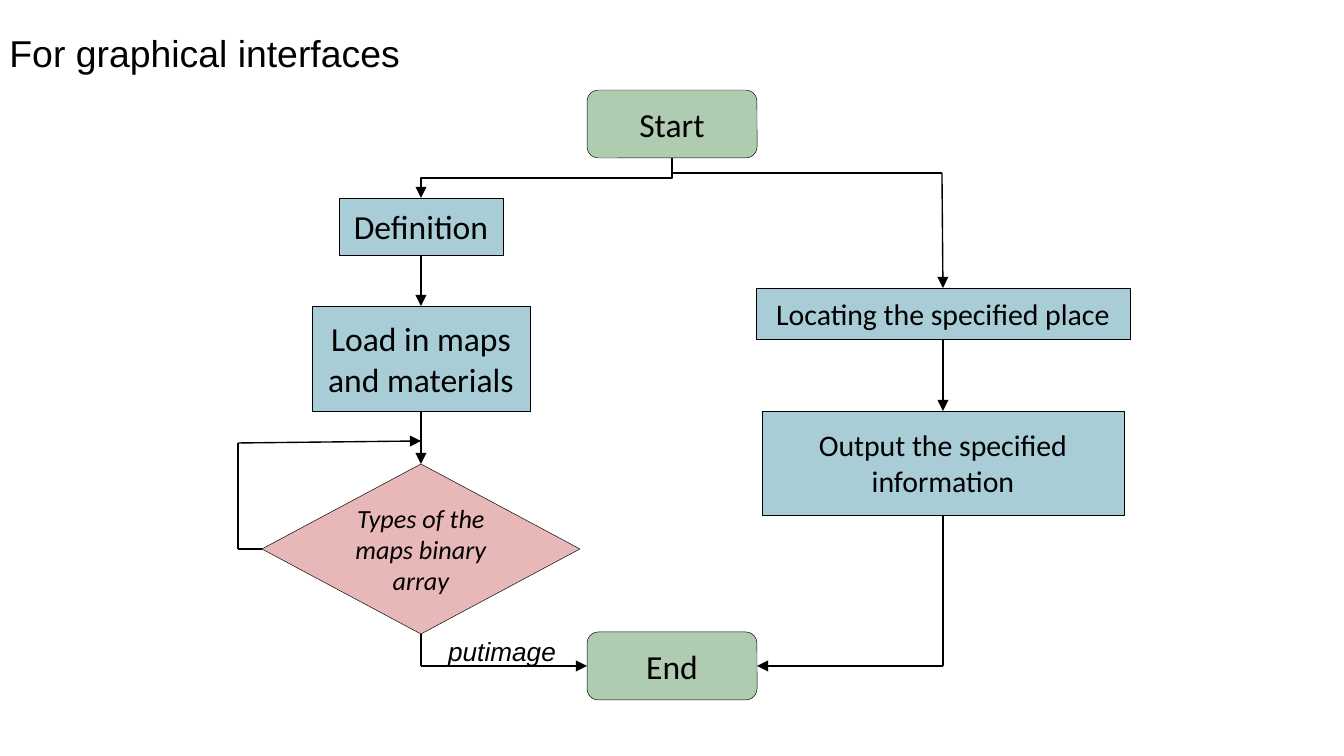
from dataclasses import dataclass
from typing import Optional

from pptx import Presentation
from pptx.dml.color import RGBColor
from pptx.enum.shapes import MSO_CONNECTOR, MSO_SHAPE
from pptx.enum.text import MSO_ANCHOR, MSO_AUTO_SIZE, PP_ALIGN
from pptx.oxml.ns import qn
from pptx.util import Pt
from lxml import etree

PX = 9144000 / 1344  # EMU per px
COLORS = {"terminal": "B0CCB0", "process": "A8CDD7", "decision": "E8B7B7", "ink": "000000"}
KINDS = {
    "terminal": MSO_SHAPE.FLOWCHART_ALTERNATE_PROCESS,
    "process": MSO_SHAPE.FLOWCHART_PROCESS,
    "decision": MSO_SHAPE.FLOWCHART_DECISION,
}
STRAIGHT, ELBOW = MSO_CONNECTOR.STRAIGHT, MSO_CONNECTOR.ELBOW
CENTER, LEFT = PP_ALIGN.CENTER, PP_ALIGN.LEFT
MIDDLE, TOP = MSO_ANCHOR.MIDDLE, MSO_ANCHOR.TOP
TOP_SIDE, LEFT_SIDE, BOTTOM_SIDE, RIGHT_SIDE = range(4)


@dataclass
class Node:
    kind: str
    text: str
    x: int
    y: int
    w: int
    h: int
    size: int = 18

    def side(self, i: int) -> tuple[int, int]:
        cx, cy = self.x + self.w // 2, self.y + self.h // 2
        return [(cx, self.y), (self.x, cy), (cx, self.y + self.h), (self.x + self.w, cy)][i]


@dataclass
class End:
    """A line end: a side of a node, or a free point."""
    node: str = ""
    side: int = 0
    point: tuple[int, int] = (0, 0)

    def xy(self) -> tuple[int, int]:
        return NODES[self.node].side(self.side) if self.node else self.point


@dataclass
class Link:
    start: End
    end: End
    arrow: bool = True


NODES = {
    "start": Node("terminal", "Start", 587, 90, 170, 68),
    "load": Node("process", "Load in maps and materials", 312, 306, 218, 105),
    "types": Node("decision", "Types of the maps binary array", 262, 464, 318, 170, 14),
    "end": Node("terminal", "End", 587, 632, 170, 68),
    "definition": Node("process", "Definition", 339, 198, 164, 57),
    "locate": Node("process", "Locating the specified place", 756, 288, 374, 51, 16),
    "output": Node("process", "Output the specified information", 762, 411, 362, 104, 16),
}


def at(x: int, y: int) -> End:
    return End(point=(x, y))


LINKS = [
    # Left branch
    Link(End("definition", BOTTOM_SIDE), End("load", TOP_SIDE)),
    Link(End("load", BOTTOM_SIDE), End("types", TOP_SIDE)),
    Link(End("types", BOTTOM_SIDE), at(421, 666), False),
    Link(at(421, 666), End("end", LEFT_SIDE)),
    # Right branch
    Link(at(672, 173), at(942, 173), False),
    Link(at(942, 173), End("locate", TOP_SIDE)),
    Link(End("locate", BOTTOM_SIDE), End("output", TOP_SIDE)),
    Link(End("output", BOTTOM_SIDE), at(943, 666), False),
    Link(at(943, 666), End("end", RIGHT_SIDE)),
    # Loop back
    Link(End("types", LEFT_SIDE), at(238, 549), False),
    Link(at(238, 549), at(238, 443), False),
    Link(at(238, 443), at(421, 441)),
]


def emu(*px: float) -> list[int]:
    return [round(v * PX) for v in px]


def rgb(name: str) -> RGBColor:
    return RGBColor.from_string(COLORS[name])


def write(sp, text: str, size: int, font: str, align, anchor, italic: bool = False) -> None:
    tf = sp.text_frame
    tf.word_wrap = True
    tf.auto_size = MSO_AUTO_SIZE.NONE
    tf.vertical_anchor = anchor
    p = tf.paragraphs[0]
    p.alignment = align
    r = p.add_run()
    r.text = text
    r.font.size, r.font.name, r.font.italic = Pt(size), font, italic
    r.font.color.rgb = rgb("ink")


def draw_node(s, n: Node):
    sp = s.shapes.add_shape(KINDS[n.kind], *emu(n.x, n.y, n.w, n.h))
    sp.shadow.inherit = False
    sp.fill.solid()
    sp.fill.fore_color.rgb = rgb(n.kind)
    sp.line.color.rgb = rgb("ink")
    sp.line.width = Pt(0.25)
    write(sp, n.text, n.size, "Calibri", CENTER, MIDDLE, n.kind == "decision")
    return sp


def style_line(c, arrow: bool) -> None:
    c.line.color.rgb = rgb("ink")
    c.line.width = Pt(0.75)
    if arrow:
        etree.SubElement(c.line._get_or_add_ln(), qn("a:tailEnd"), type="triangle")
    etree.SubElement(c._element.spPr, qn("a:effectLst"))


def draw_link(s, link: Link, shapes: dict) -> None:
    c = s.shapes.add_connector(STRAIGHT, *emu(*link.start.xy(), *link.end.xy()))
    if link.start.node:
        c.begin_connect(shapes[link.start.node], link.start.side)
    if link.end.node:
        c.end_connect(shapes[link.end.node], link.end.side)
    style_line(c, link.arrow)


def draw_down_elbow(s, start: tuple[int, int], end: tuple[int, int]) -> None:
    """Leaves downwards, runs left and arrives downwards: an elbow turned by 90 degrees."""
    cx, cy = (start[0] + end[0]) / 2, (start[1] + end[1]) / 2
    half_w, half_h = (end[1] - start[1]) / 2, (start[0] - end[0]) / 2
    c = s.shapes.add_connector(ELBOW, *emu(cx - half_w, cy - half_h, cx + half_w, cy + half_h))
    c._element.spPr.find(qn("a:xfrm")).set("rot", "5400000")
    style_line(c, True)


def main() -> None:
    prs = Presentation()
    prs.slide_width, prs.slide_height = emu(1344, 756)
    s = prs.slides.add_slide(prs.slide_layouts[5])

    # Title
    title = s.shapes.title
    title.left, title.top, title.width, title.height = emu(-4, 23, 519, 59)
    write(title, "For graphical interfaces", 20, "Arial", LEFT, TOP)

    # Flowchart
    shapes = {name: draw_node(s, n) for name, n in NODES.items()}
    draw_down_elbow(s, NODES["start"].side(BOTTOM_SIDE), NODES["definition"].side(TOP_SIDE))
    for link in LINKS:
        draw_link(s, link, shapes)

    # Branch label
    label = s.shapes.add_textbox(*emu(435, 629, 151, 46))
    write(label, "putimage", 14, "Arial", LEFT, TOP, True)

    prs.save("out.pptx")


if __name__ == "__main__":
    main()
